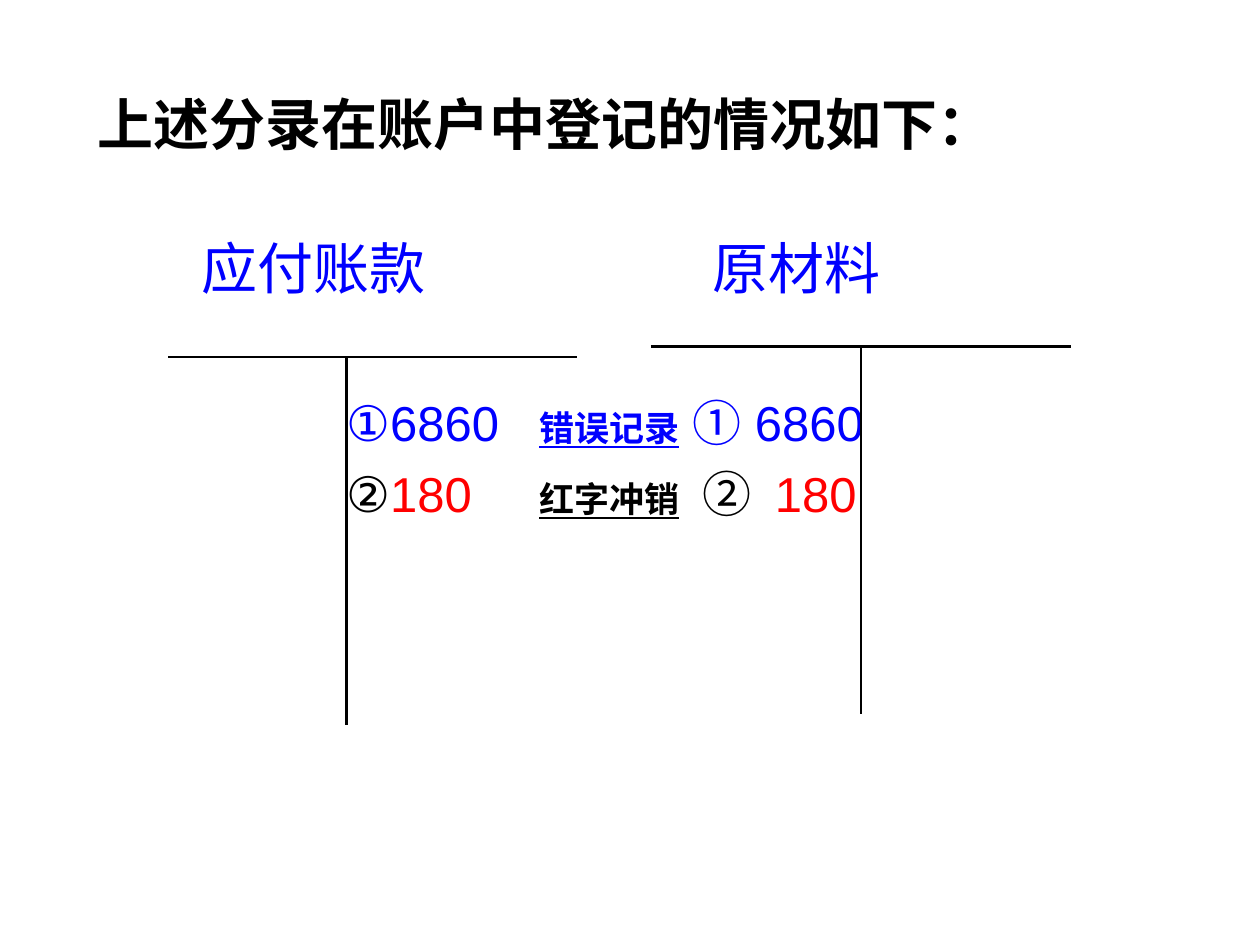
from pptx import Presentation
from pptx.dml.color import RGBColor
from pptx.enum.text import MSO_ANCHOR, PP_ALIGN
from pptx.oxml.ns import qn
from pptx.util import Cm, Pt
from lxml.etree import SubElement as sub

BLACK = RGBColor(0, 0, 0)
BLUE = RGBColor(0, 0, 255)
RED = RGBColor(255, 0, 0)
FONT = "Arial"

# Content: text, size, colour, label style (bold and underlined)
TITLE = "上述分录在账户中登记的情况如下："
ROWS = [
    # tab stops in cm, space before, line height, runs
    ((2.54, 12.85), 0, 42, [("\t应付账款\t原材料", 32, BLUE, False)]),
    ((5.46, 9.35, 12.45, 13.7), 46, 40.5, [
        ("\t①6860\t", 28, BLUE, False),
        ("错误记录", 20, BLUE, True),
        ("\t①\t6860", 28, BLUE, False)]),
    ((5.46, 9.35, 12.65, 14.1), 0, 40.5, [
        ("\t②", 28, BLACK, False),
        ("180\t", 28, RED, False),
        ("红字冲销\t", 20, BLACK, True),
        ("②\t", 28, BLACK, False),
        ("180", 28, RED, False)]),
]
# T accounts: left, right, stem, top
ACCTS = [(3.39, 11.64, 6.99, 7.2), (13.12, 21.59, 17.36, 6.99)]
STEM = 7.41

prs = Presentation()
prs.slide_width, prs.slide_height = Cm(25.4), Cm(19.05)
slide = prs.slides.add_slide(prs.slide_layouts[5])


def place(shape, left, top, width, height):
    shape.left, shape.top = Cm(left), Cm(top)
    shape.width, shape.height = Cm(width), Cm(height)


def set_tabs(para, stops):
    tabs = sub(para._p.get_or_add_pPr(), qn("a:tabLst"))
    for stop in stops:
        sub(tabs, qn("a:tab"), pos=str(Cm(stop)), algn="l")


def add_line(x1, y1, x2, y2):
    line = slide.shapes.add_connector(1, Cm(x1), Cm(y1), Cm(x2), Cm(y2))
    line.line.color.rgb = BLACK
    line.line.width = Pt(1.5)
    sub(line._element.spPr, qn("a:effectLst"))


# Title
title = slide.shapes.title
place(title, 0.61, 1.14, 20.78, 2.67)
title.text_frame.text = TITLE
title.text_frame.vertical_anchor = MSO_ANCHOR.MIDDLE
para = title.text_frame.paragraphs[0]
para.alignment = PP_ALIGN.CENTER
para.font.name, para.font.size, para.font.bold = FONT, Pt(32), True
para.font.color.rgb = BLACK

# Account names and entries
box = slide.shapes.add_textbox(0, 0, 0, 0)
place(box, 1.27, 4.45, 22.86, 12.57)
frame = box.text_frame
frame.word_wrap = True
for i, (stops, before, height, runs) in enumerate(ROWS):
    para = frame.add_paragraph() if i else frame.paragraphs[0]
    set_tabs(para, stops)
    para.font.name = FONT
    para.space_before, para.line_spacing = Pt(before), Pt(height)
    for text, size, color, label in runs:
        run = para.add_run()
        run.text = text
        font = run.font
        font.name, font.size, font.color.rgb = FONT, Pt(size), color
        font.bold = font.underline = label

# T accounts
for left, right, stem, top in ACCTS:
    add_line(left, top, right, top)
    add_line(stem, top, stem, top + STEM)

prs.save("out.pptx")
